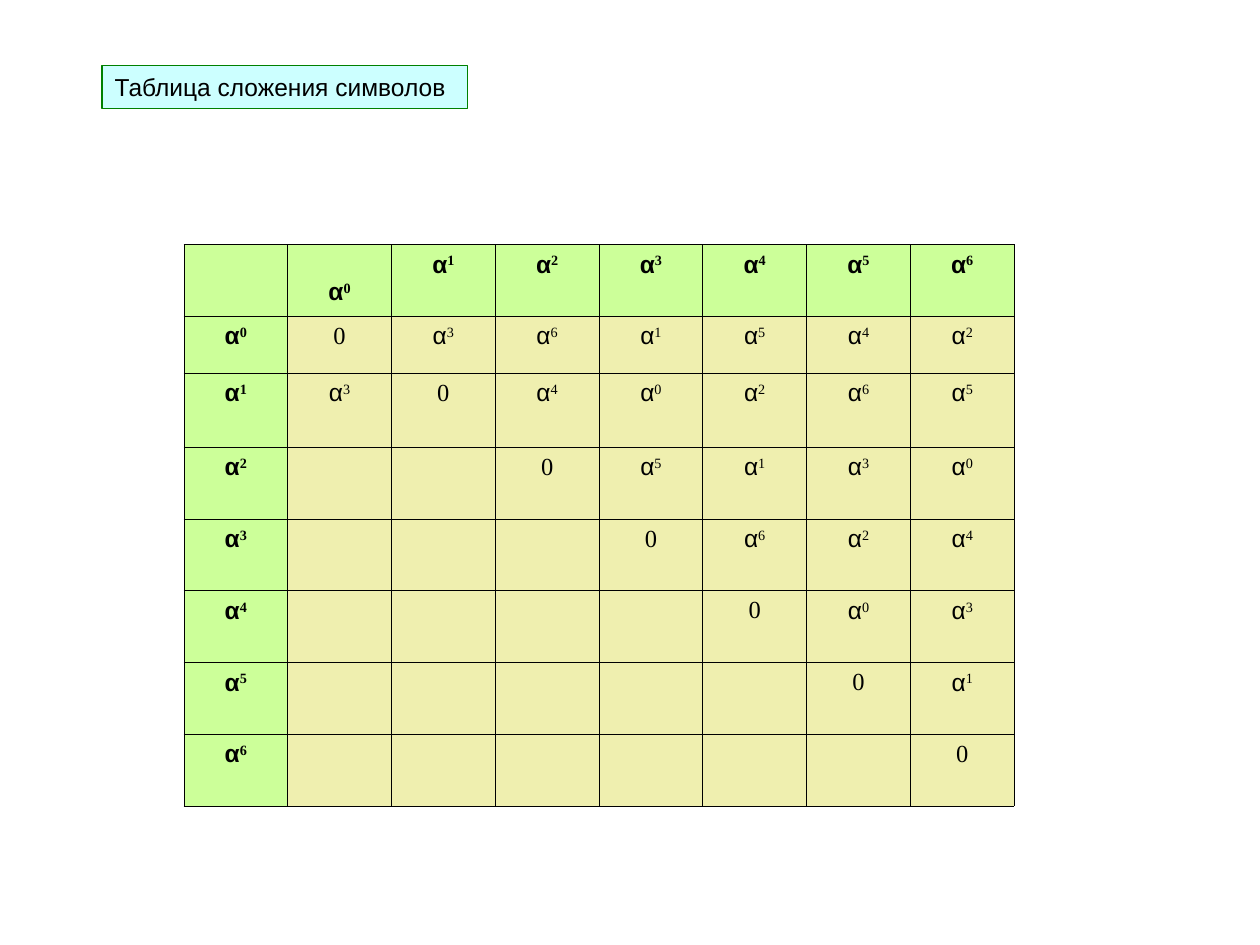
from lxml.etree import SubElement
from pptx import Presentation
from pptx.dml.color import RGBColor
from pptx.enum.text import MSO_ANCHOR, MSO_AUTO_SIZE, PP_ALIGN
from pptx.oxml.ns import qn
from pptx.util import Inches, Pt

BLACK, HEADER, BODY = "000000", "CCFF99", "EFEFAF"
SYMBOLS = 7
# 1 + α^n = α^SUM_WITH_ONE[n]; the other sums follow by shifting exponents
SUM_WITH_ONE = {1: 3, 2: 6, 3: 1, 4: 5, 5: 4, 6: 2}
ROW_HEIGHTS = [0.57, 0.45, 0.59] + [0.57] * 5


def color(value):
    return RGBColor.from_string(value)


def format_run(span, font_name, bold=False):
    span.font.name = font_name
    span.font.size = Pt(14)
    span.font.bold = bold
    span.font.color.rgb = color(BLACK)


def add_title(page, text):
    box = page.shapes.title
    box.left, box.top = Inches(0.81), Inches(0.52)
    box.width, box.height = Inches(2.9), Inches(0.34)
    box.fill.solid()
    box.fill.fore_color.rgb = color("CCFFFF")
    box.line.color.rgb = color("008000")
    box.line.width = Pt(0.75)
    frame = box.text_frame
    frame.text = text
    frame.word_wrap = True
    frame.auto_size = MSO_AUTO_SIZE.NONE
    frame.vertical_anchor = MSO_ANCHOR.MIDDLE
    frame.paragraphs[0].alignment = PP_ALIGN.LEFT
    format_run(frame.paragraphs[0].runs[0], "Arial")


def set_borders(cell):
    properties = cell._tc.get_or_add_tcPr()
    for side in ("a:lnL", "a:lnR", "a:lnT", "a:lnB"):
        line = SubElement(properties, qn(side), w=str(Pt(0.45)))
        fill = SubElement(line, qn("a:solidFill"))
        SubElement(fill, qn("a:srgbClr"), val=BLACK)


def style_cell(cell, fill):
    set_borders(cell)
    cell.fill.solid()
    cell.fill.fore_color.rgb = color(fill)


def write_power(cell, exponent, bold=False):
    """Write α with a raised exponent, or a plain zero for None."""
    para = cell.text_frame.paragraphs[0]
    para.alignment = PP_ALIGN.CENTER
    if exponent is not None:
        base = para.add_run()
        base.text = "α"
        format_run(base, "Arial", bold)
    digit = para.add_run()
    digit.text = str(exponent or 0)
    format_run(digit, "Times New Roman", bold)
    if exponent is not None:
        digit._r.get_or_add_rPr().set("baseline", "30000")


def sum_exponent(first, second):
    low, high = sorted((first, second))
    if low == high:
        return None
    return (low + SUM_WITH_ONE[high - low]) % SYMBOLS


def add_sum_table(page):
    size = SYMBOLS + 1
    frame = page.shapes.add_table(size, size, Inches(1.46), Inches(1.94),
                                  Inches(6.59), Inches(4.45))
    table = frame.table
    table.first_row = table.horz_banding = False
    for row, height in zip(table.rows, ROW_HEIGHTS):
        row.height = Inches(height)
    for row in range(size):
        for column in range(size):
            is_header = row == 0 or column == 0
            style_cell(table.cell(row, column), HEADER if is_header else BODY)

    # Row and column headings
    for exponent in range(SYMBOLS):
        write_power(table.cell(0, exponent + 1), exponent, bold=True)
        write_power(table.cell(exponent + 1, 0), exponent, bold=True)
    first_heading = table.cell(0, 1)
    first_heading.vertical_anchor = MSO_ANCHOR.BOTTOM
    first_heading.margin_bottom = Inches(0.08)

    # Sums: the first two rows are full, the rest start at the diagonal
    for row in range(SYMBOLS):
        for column in range(row if row > 1 else 0, SYMBOLS):
            write_power(table.cell(row + 1, column + 1),
                        sum_exponent(row, column))


def main():
    deck = Presentation()
    deck.slide_width, deck.slide_height = Inches(10), Inches(7.5)
    page = deck.slides.add_slide(deck.slide_layouts[5])
    add_title(page, "Таблица сложения символов")
    add_sum_table(page)
    deck.save("out.pptx")


if __name__ == "__main__":
    main()
